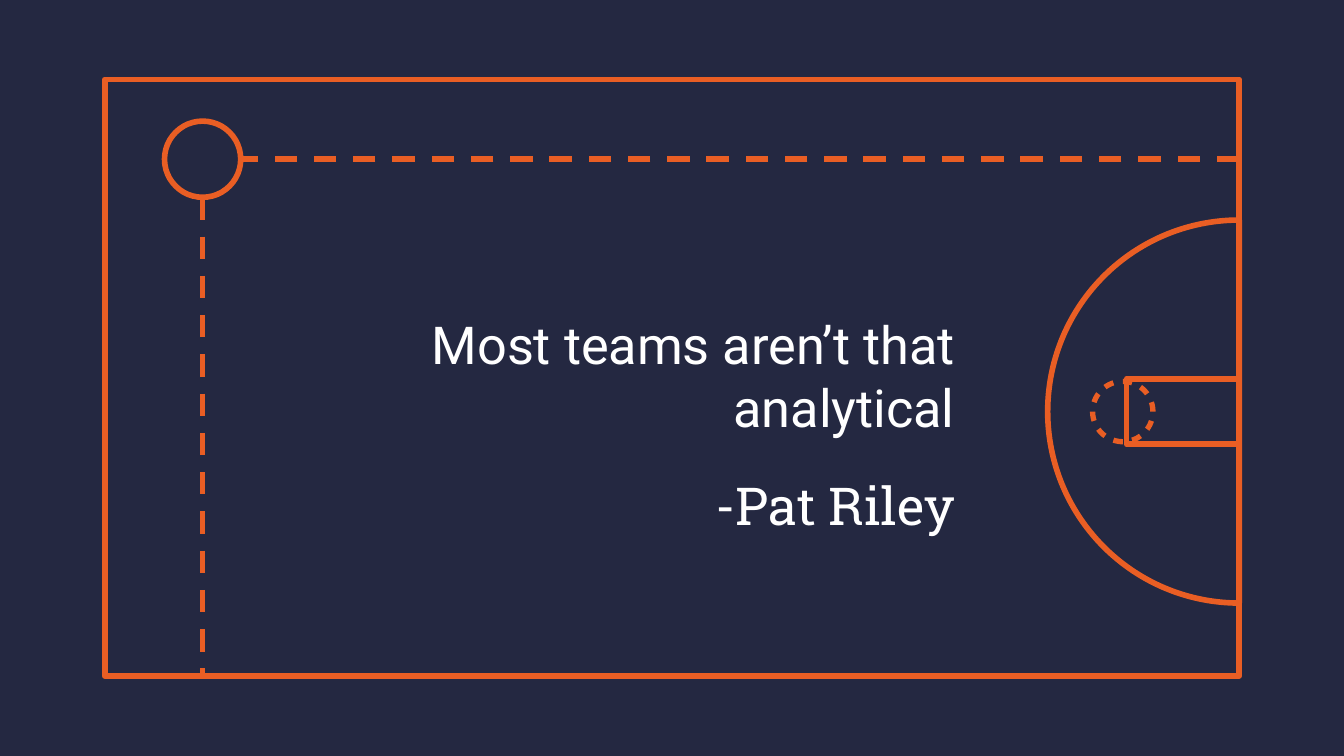
import math

from lxml import etree
from pptx import Presentation
from pptx.dml.color import RGBColor
from pptx.enum import dml, shapes, text
from pptx.oxml.ns import qn
from pptx.util import Cm, Pt

COLORS = {"navy": "242841", "orange": "E95E24", "white": "FFFFFF"}


def rgb(name):
    return RGBColor.from_string(COLORS[name])


def write(tf, content, font="Roboto", size=28, color="white",
          align=text.PP_ALIGN.RIGHT):
    tf.word_wrap = True
    tf.auto_size = text.MSO_AUTO_SIZE.NONE
    tf.vertical_anchor = text.MSO_ANCHOR.MIDDLE
    tf.margin_left = tf.margin_right = tf.margin_top = tf.margin_bottom = Cm(0.25)
    p = tf.paragraphs[0]
    p.alignment = align
    p.space_before = Pt(0)
    r = p.add_run()
    r.text = content
    r.font.name, r.font.size = font, Pt(size)
    r.font.color.rgb = rgb(color)


class Court:
    """Slide with the orange line style of a basketball court."""

    line_color, line_width = "orange", 3

    def __init__(self, slide, background="navy"):
        self.slide = slide
        slide.background.fill.solid()
        slide.background.fill.fore_color.rgb = rgb(background)

    def stroke(self, line):
        line.color.rgb = rgb(self.line_color)
        line.width = Pt(self.line_width)

    def outline(self, kind, x, y, w, h, fill=None, rotation=0, adjust=()):
        sp = self.slide.shapes.add_shape(kind, Cm(x), Cm(y), Cm(w), Cm(h))
        sp.shadow.inherit = False
        sp.rotation = rotation
        for i, value in enumerate(adjust):
            sp.adjustments[i] = value
        if fill:
            sp.fill.solid()
            sp.fill.fore_color.rgb = rgb(fill)
        else:
            sp.fill.background()
        self.stroke(sp.line)

    def dashed_line(self, x1, y1, x2, y2):
        cxn = self.slide.shapes.add_connector(
            shapes.MSO_CONNECTOR.STRAIGHT, Cm(x1), Cm(y1), Cm(x2), Cm(y2))
        self.stroke(cxn.line)
        cxn.line.dash_style = dml.MSO_LINE.DASH
        etree.SubElement(cxn._element.spPr, qn("a:effectLst"))

    def dashed_ring(self, cx, cy, outer, inner, dashes=10, steps=4):
        def point(radius, angle):
            return (Cm(cx + radius * math.sin(angle)),
                    Cm(cy - radius * math.cos(angle)))

        half = math.pi / dashes  # each dash is as long as its gap
        builder = None
        for i in range(dashes):
            angles = [half * (2 * i + k / steps) for k in range(steps + 1)]
            points = [point(outer, a) for a in angles]
            points += [point(inner, a) for a in reversed(angles)]
            if builder is None:
                builder = self.slide.shapes.build_freeform(*points[0])
            else:
                builder.move_to(*points[0])
            builder.add_line_segments(points[1:], close=True)
        sp = builder.convert_to_shape()
        sp.shadow.inherit = False
        sp.fill.solid()
        sp.fill.fore_color.rgb = rgb(self.line_color)
        sp.line.fill.background()

    def placeholder(self, sp, content, x, y, w, h, **fmt):
        sp.left, sp.top, sp.width, sp.height = Cm(x), Cm(y), Cm(w), Cm(h)
        write(sp.text_frame, content, **fmt)


def main():
    prs = Presentation()
    prs.slide_width, prs.slide_height = Cm(25.4), Cm(14.29)
    slide = prs.slides.add_slide(prs.slide_layouts[0])
    court = Court(slide)
    kinds = shapes.MSO_SHAPE

    # Court border
    left, top, width, height = 1.98, 1.5, 21.44, 11.28
    right, bottom = left + width, top + height
    court.outline(kinds.RECTANGLE, left, top, width, height)

    # Quote and author
    court.placeholder(slide.shapes.title, "-Pat Riley",
                      5.44, 8.86, 12.85, 1.37, font="Roboto Slab")
    court.placeholder(slide.placeholders[1], "Most teams aren’t that analytical",
                      5.44, 5.54, 12.85, 3.1)

    # Three-point arc, key and free-throw circle
    mid, radius = 7.78, 3.62
    key_w, key_h = 2.13, 1.24
    court.dashed_ring(21.22, mid, outer=0.62, inner=0.52)
    court.outline(kinds.PIE, right - radius, mid - radius, 2 * radius, 2 * radius,
                  rotation=90, adjust=(0, 108))
    court.outline(kinds.RECTANGLE, right - key_w, mid - key_h / 2, key_w, key_h)

    # Ball with its two paths
    ball_x, ball_y, ball_r = 3.83, 3.01, 0.72
    court.outline(kinds.OVAL, ball_x - ball_r, ball_y - ball_r,
                  2 * ball_r, 2 * ball_r, fill="navy")
    court.dashed_line(right, ball_y, ball_x + ball_r, ball_y)
    court.dashed_line(ball_x, ball_y + ball_r, ball_x, bottom)

    prs.save("out.pptx")


if __name__ == "__main__":
    main()
